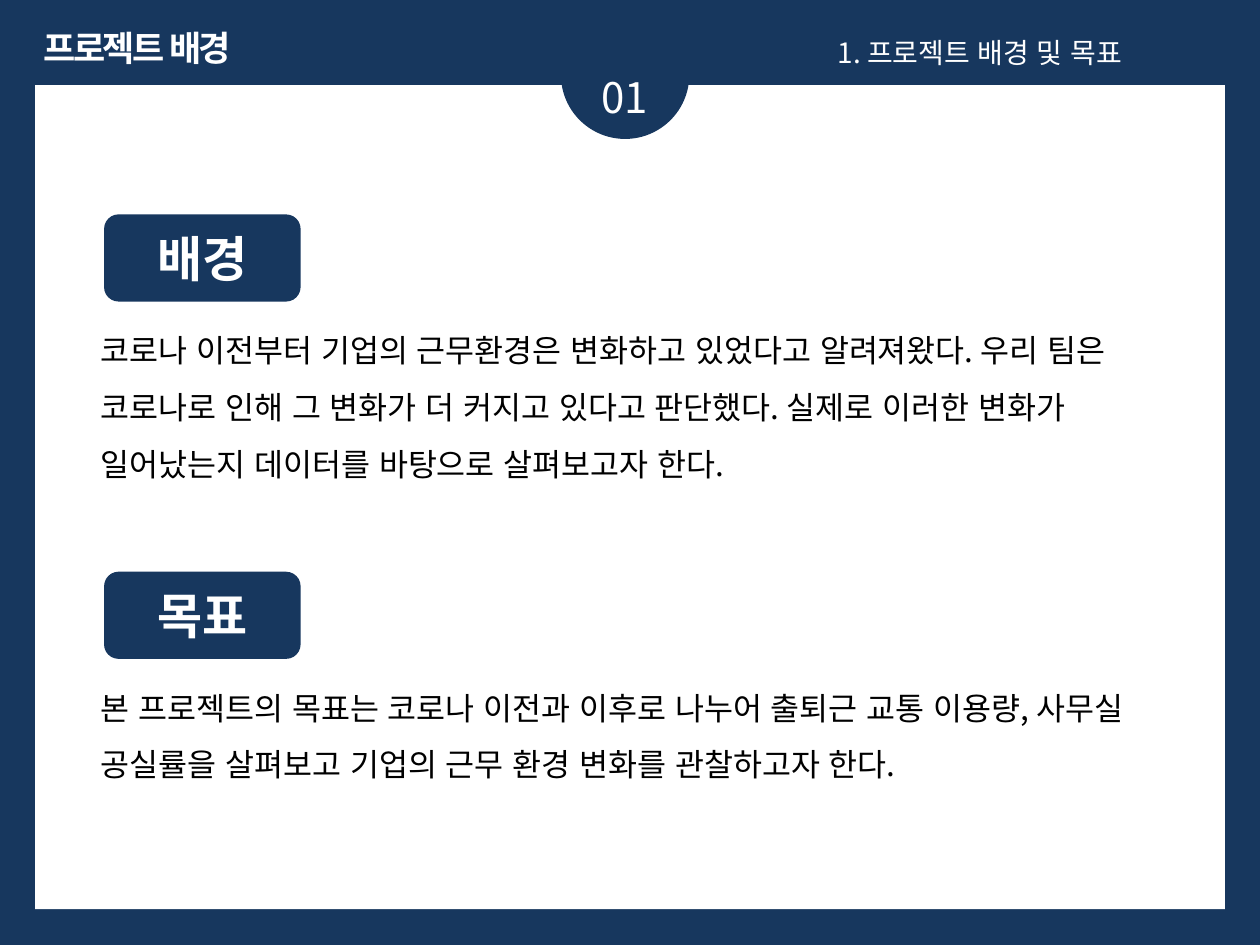
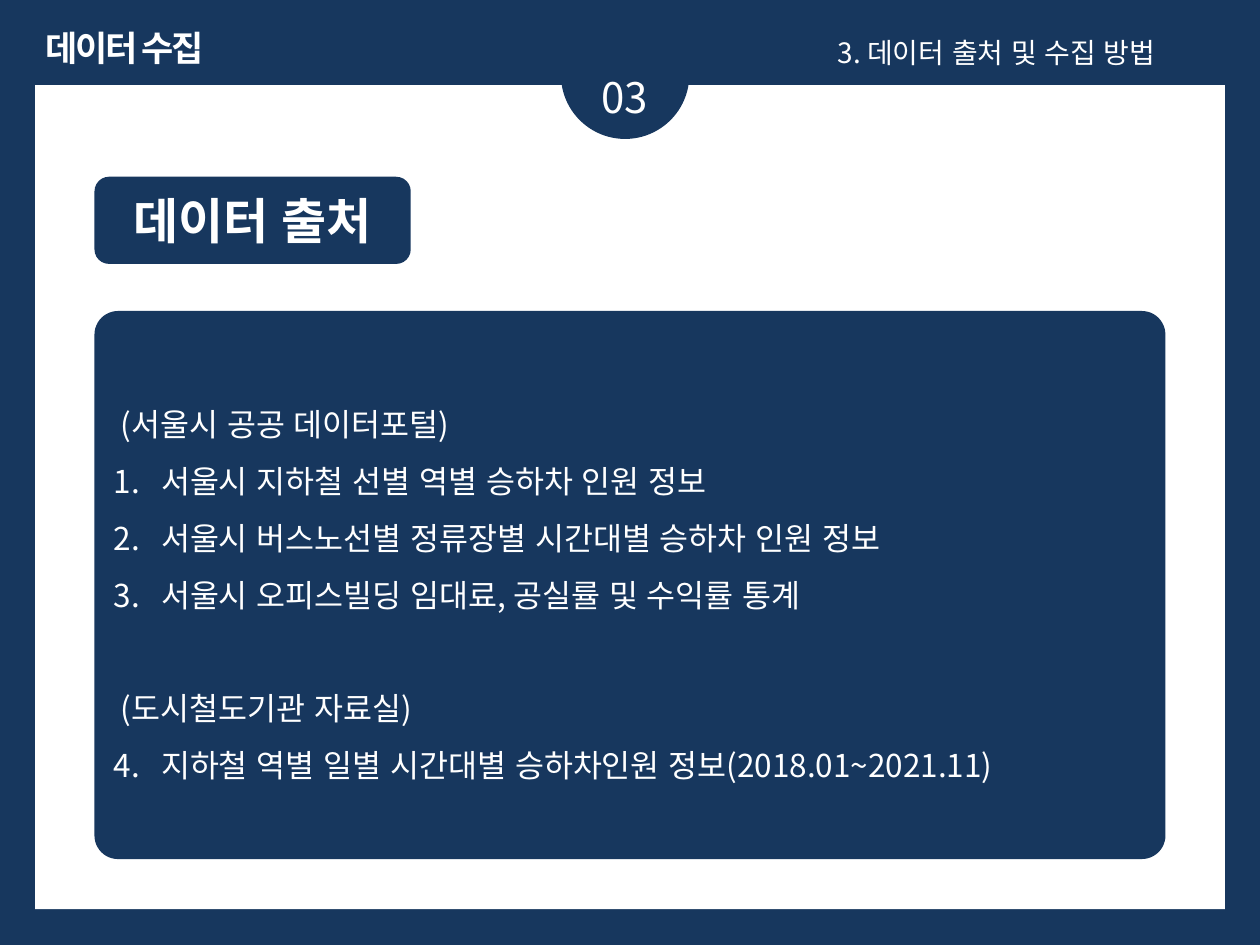
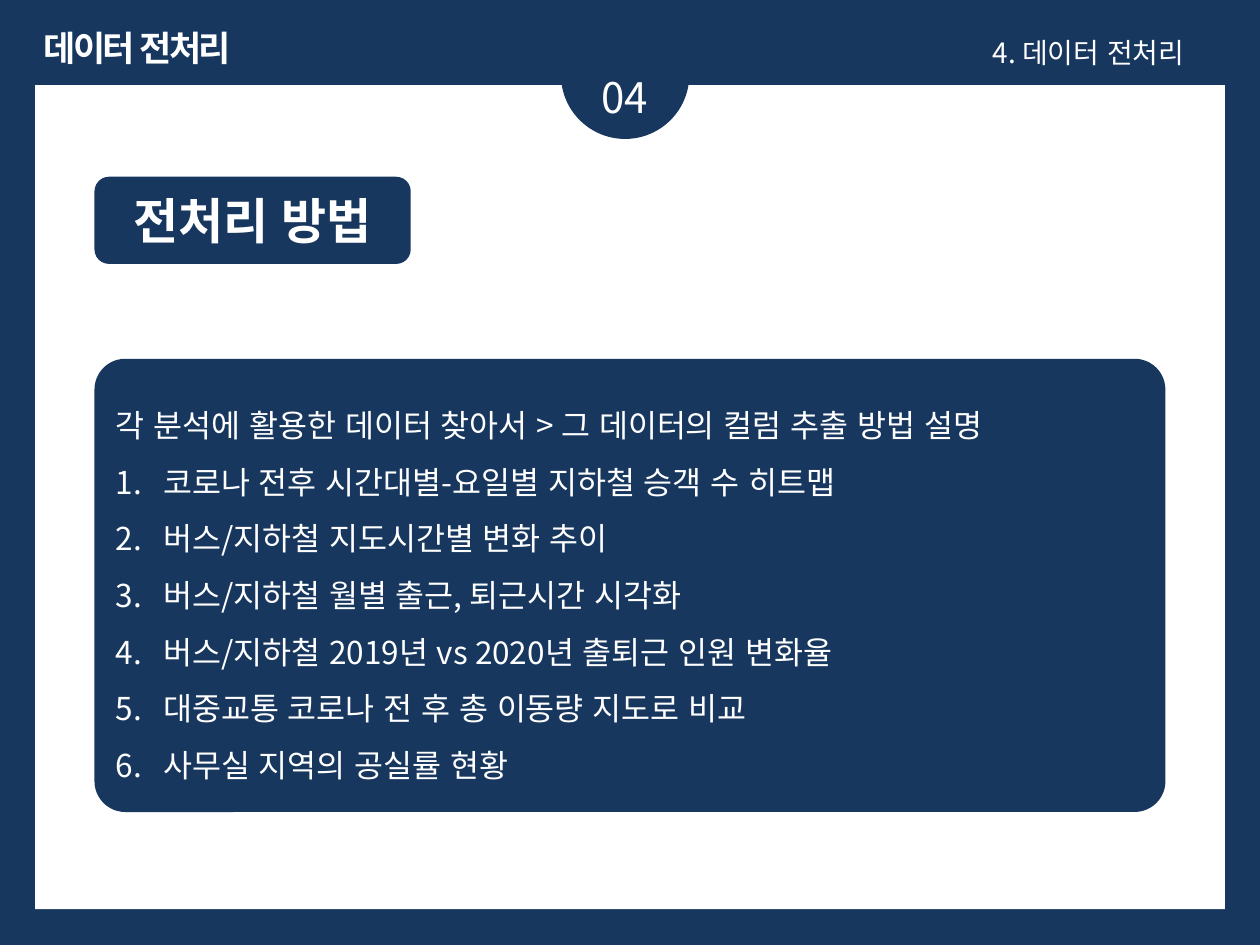
from dataclasses import dataclass

import pptx
import pptx.dml.color
import pptx.enum.lang
import pptx.enum.shapes
import pptx.enum.text
import pptx.oxml.ns
import pptx.util
from lxml import etree

Pt = pptx.util.Pt
ALIGN = pptx.enum.text.PP_ALIGN
SHAPE = pptx.enum.shapes.MSO_SHAPE


@dataclass(frozen=True)
class Theme:
    font: str = "Noto Sans CJK KR"
    navy: str = "17375E"
    white: str = "FFFFFF"
    black: str = "000000"
    title: int = 20
    number: int = 24
    chapter: int = 16
    label: int = 28
    body: int = 18
    line_spacing: float = 1.5
    list_gap: float = 32.4
    list_indent: float = 27
    heading_indent: float = 4


class Deck:
    def __init__(self, theme):
        self.theme = theme
        self.presentation = pptx.Presentation()
        self.presentation.slide_width = Pt(720)
        self.presentation.slide_height = Pt(540)
        self.shapes = None

    def colour(self, value):
        return pptx.dml.color.RGBColor.from_string(value)

    def format(self, paragraph, size, colour, bold=False, spacing=None):
        for run in paragraph.runs:
            font = run.font
            font.size, font.bold = Pt(size), bold
            font.language_id = pptx.enum.lang.MSO_LANGUAGE_ID.KOREAN
            font.color.rgb = self.colour(colour)
            font.name = self.theme.font
            properties = run._r.get_or_add_rPr()
            east_asian = etree.SubElement(properties, pptx.oxml.ns.qn("a:ea"))
            east_asian.set("typeface", self.theme.font)
            if spacing is not None:
                properties.set("spc", str(spacing))

    def block(self, kind, box, fill, corner=None):
        shape = self.shapes.add_shape(kind, *map(Pt, box))
        shape.shadow.inherit = False
        shape.fill.solid()
        shape.fill.fore_color.rgb = self.colour(fill)
        shape.line.fill.background()
        if corner is not None:
            shape.adjustments[0] = corner
        return shape

    def text(self, words, box, size, colour, align=ALIGN.LEFT, wrap=True,
             line_spacing=None, **style):
        frame = self.shapes.add_textbox(*map(Pt, box)).text_frame
        frame.word_wrap = wrap
        frame.auto_size = pptx.enum.text.MSO_AUTO_SIZE.SHAPE_TO_FIT_TEXT
        frame.text = words
        paragraph = frame.paragraphs[0]
        paragraph.alignment = align
        paragraph.line_spacing = line_spacing
        self.format(paragraph, size, colour, **style)

    def start_slide(self, title, title_left, title_width, number, chapter, chapter_left):
        """Add a slide with the navy frame, title, number tab and chapter name."""
        theme = self.theme
        slide = self.presentation.slides.add_slide(self.presentation.slide_layouts[6])
        slide.background.fill.solid()
        slide.background.fill.fore_color.rgb = self.colour(theme.navy)
        self.shapes = slide.shapes
        self.block(SHAPE.RECTANGLE, (20, 48.7, 680, 470.8), theme.white)
        self.block(SHAPE.OVAL, (320.5, 6, 73.4, 73.4), theme.navy)
        self.text(title, (title_left, 11.5, title_width, 31.5), theme.title, theme.white,
                  ALIGN.CENTER, wrap=False, bold=True, spacing=-150)
        self.text(number, (314.6, 37.4, 85, 36), theme.number, theme.white, ALIGN.CENTER)
        self.text(chapter, (chapter_left, 16.6, 705.6 - chapter_left, 26.6),
                  theme.chapter, theme.white, ALIGN.JUSTIFY)

    def label(self, words, left, top, width):
        frame = self.block(SHAPE.ROUNDED_RECTANGLE, (left, top, width, 49.8),
                           self.theme.navy).text_frame
        frame.vertical_anchor = pptx.enum.text.MSO_ANCHOR.MIDDLE
        frame.text = words
        frame.paragraphs[0].alignment = ALIGN.CENTER
        self.format(frame.paragraphs[0], self.theme.label, self.theme.white, bold=True)

    def section(self, heading, body, top, width, height):
        """Group a label with the paragraph below it."""
        slide_shapes = self.shapes
        self.shapes = slide_shapes.add_group_shape().shapes
        self.label(heading, 59.5, top, 112.3)
        self.text(body, (50.4, top + 52.5, width, height), self.theme.body,
                  self.theme.black, line_spacing=self.theme.line_spacing)
        self.shapes = slide_shapes

    def number_item(self, paragraph, start):
        properties = paragraph._p.get_or_add_pPr()
        properties.set("marL", str(Pt(self.theme.list_indent)))
        properties.set("indent", str(-Pt(self.theme.list_indent)))
        numbering = etree.SubElement(properties, pptx.oxml.ns.qn("a:buAutoNum"))
        numbering.set("type", "arabicPeriod")
        numbering.set("startAt", str(start))

    def panel(self, lists, top, height, corner, heading_indent=0):
        """Draw headed lists whose numbering runs on from one to the next."""
        theme = self.theme
        frame = self.block(SHAPE.ROUNDED_RECTANGLE, (54, top, 612, height),
                           theme.navy, corner).text_frame
        frame.word_wrap = True
        frame.vertical_anchor = pptx.enum.text.MSO_ANCHOR.MIDDLE
        frame.text = "\n".join(line for heading, items in lists for line in (heading, *items))
        paragraphs = iter(frame.paragraphs)
        start = 1
        for list_index, (_, items) in enumerate(lists):
            heading = next(paragraphs)
            heading._p.get_or_add_pPr().set("marL", str(Pt(heading_indent)))
            if list_index:
                heading.space_before = Pt(theme.list_gap)
            for _ in items:
                self.number_item(next(paragraphs), start)
            start += len(items)
        for paragraph in frame.paragraphs:
            paragraph.alignment = ALIGN.LEFT
            paragraph.line_spacing = theme.line_spacing
            self.format(paragraph, theme.body, theme.white)


def main():
    theme = Theme()
    deck = Deck(theme)

    deck.start_slide("프로젝트 배경", 12.2, 132.5, "01", "1. 프로젝트 배경 및 목표", 471.6)
    deck.section(
        "배경",
        "코로나 이전부터 기업의 근무환경은 변화하고 있었다고 알려져왔다. 우리 팀은 "
        "코로나로 인해 그 변화가 더 커지고 있다고 판단했다. 실제로 이러한 변화가 "
        "일어났는지 데이터를 바탕으로 살펴보고자 한다.",
        122.5, 625, 101.5)
    deck.section(
        "목표",
        "본 프로젝트의 목표는 코로나 이전과 이후로 나누어 출퇴근 교통 이용량, "
        "사무실 공실률을 살펴보고 기업의 근무 환경 변화를 관찰하고자 한다.",
        326.7, 602, 68.4)

    deck.start_slide("데이터 수집", 14.4, 113.8, "03", "3. 데이터 출처 및 수집 방법", 471.6)
    deck.label("데이터 출처", 54, 101, 180.7)
    sources = [
        ("(서울시 공공 데이터포털)", [
            "서울시 지하철 선별 역별 승하차 인원 정보",
            "서울시 버스노선별 정류장별 시간대별 승하차 인원 정보",
            "서울시 오피스빌딩 임대료, 공실률 및 수익률 통계"]),
        ("(도시철도기관 자료실)", [
            "지하철 역별 일별 시간대별 승하차인원 정보(2018.01~2021.11)"]),
    ]
    deck.panel(sources, 177.7, 313.2, 0.043, theme.heading_indent)

    deck.start_slide("데이터 전처리", 12.2, 132.5, "04", "4. 데이터 전처리", 560.2)
    deck.label("전처리 방법", 54, 101, 180.7)
    methods = [
        ("각 분석에 활용한 데이터 찾아서 > 그 데이터의 컬럼 추출 방법 설명", [
            "코로나 전후 시간대별-요일별 지하철 승객 수 히트맵",
            "버스/지하철 지도시간별 변화 추이",
            "버스/지하철 월별 출근, 퇴근시간 시각화",
            "버스/지하철 2019년 vs 2020년 출퇴근 인원 변화율",
            "대중교통 코로나 전 후 총 이동량 지도로 비교",
            "사무실 지역의 공실률 현황"]),
    ]
    deck.panel(methods, 205, 259, 0.068)

    deck.presentation.save("out.pptx")


if __name__ == "__main__":
    main()
